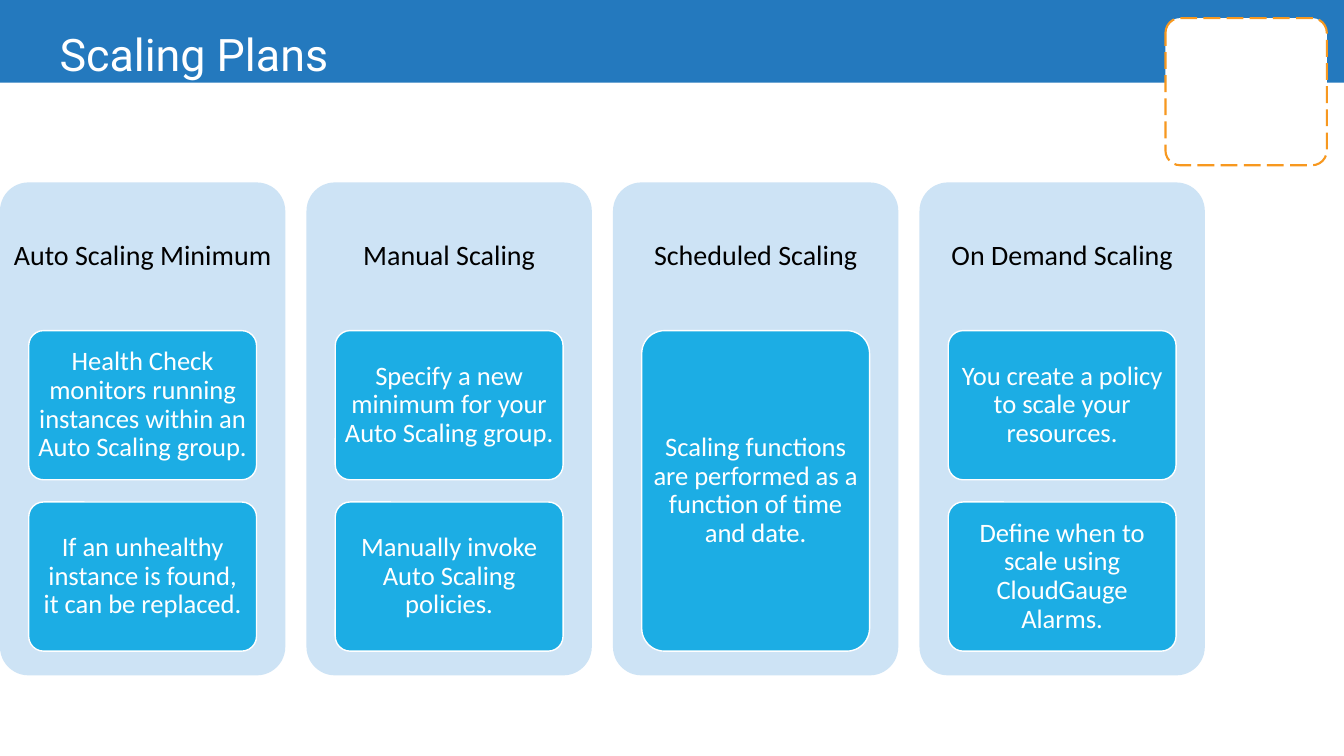
from pptx import Presentation
from pptx.dml.color import RGBColor
from pptx.enum.dml import MSO_LINE
from pptx.enum.shapes import MSO_SHAPE as Preset
from pptx.enum.text import MSO_ANCHOR as Anchor, MSO_AUTO_SIZE as AutoSize, PP_ALIGN as Align
from pptx.util import Inches, Pt

# Content
TITLE = "Scaling Plans"
PLANS = [
    ("Auto Scaling Minimum", [
        "Health Check monitors running instances within an Auto Scaling group.",
        "If an unhealthy instance is found, it can be replaced."]),
    ("Manual Scaling", [
        "Specify a new minimum for your Auto Scaling group.",
        "Manually invoke Auto Scaling policies."]),
    ("Scheduled Scaling", [
        "Scaling functions are performed as a function of time and date."]),
    ("On Demand Scaling", [
        "You create a policy to scale your resources.",
        "Define when to scale using CloudGauge Alarms."]),
]

# Colours
BAND = RGBColor(0x24, 0x79, 0xBE)
PANEL = RGBColor(0xCD, 0xE3, 0xF5)
CARD = RGBColor(0x1C, 0xAD, 0xE4)
ORANGE = RGBColor(0xF7, 0x98, 0x1F)
WHITE = RGBColor(0xFF, 0xFF, 0xFF)
BLACK = RGBColor(0, 0, 0)

# Measures in inches
PANEL_TOP, PANEL_WIDTH, PANEL_HEIGHT = 1.81, 2.83, 4.89
PANEL_STEP = 3.04
HEADING_HEIGHT = 1.47
CARD_TOP, CARD_WIDTH = 3.28, 2.26
CARDS_HEIGHT, CARD_GAP = 3.18, 0.22

deck = Presentation()
deck.slide_width, deck.slide_height = Inches(13.33), Inches(7.5)
page = deck.slides.add_slide(deck.slide_layouts[5])


def add_block(preset, left, top, width, height, fill, line=None, weight=1):
    block = page.shapes.add_shape(
        preset, Inches(left), Inches(top), Inches(width), Inches(height))
    block.shadow.inherit = False
    block.fill.solid()
    block.fill.fore_color.rgb = fill
    if line is None:
        block.line.fill.background()
    else:
        block.line.color.rgb = line
        block.line.width = Pt(weight)
    if preset == Preset.ROUNDED_RECTANGLE:
        block.adjustments[0] = 0.1
    return block


def write(box, text, size, color, font="Calibri", align=Align.CENTER, inset=(0.1, 0.05)):
    frame = box.text_frame
    frame.text = text
    frame.word_wrap = True
    frame.auto_size = AutoSize.NONE
    frame.vertical_anchor = Anchor.MIDDLE
    frame.margin_left = frame.margin_right = Inches(inset[0])
    frame.margin_top = frame.margin_bottom = Inches(inset[1])
    para = frame.paragraphs[0]
    para.alignment = align
    para.line_spacing = 0.9
    para.font.name = font
    para.font.size = Pt(size)
    para.font.color.rgb = color


# Title on its band, with the band sent to the back
band = add_block(Preset.RECTANGLE, 0, 0, 13.33, 0.82, BAND)
page.shapes._spTree.insert(2, band._element)
title = page.shapes.title
title.left, title.top = Inches(0.49), Inches(0.17)
title.width, title.height = Inches(11.96), Inches(0.79)
write(title, TITLE, 32, WHITE, "Roboto", Align.LEFT)

# One panel per plan, its cards sharing the height below the heading
for column, (heading, cards) in enumerate(PLANS):
    left = column * PANEL_STEP
    add_block(Preset.ROUNDED_RECTANGLE, left, PANEL_TOP, PANEL_WIDTH, PANEL_HEIGHT, PANEL)
    label = page.shapes.add_textbox(
        Inches(left), Inches(PANEL_TOP), Inches(PANEL_WIDTH), Inches(HEADING_HEIGHT))
    write(label, heading, 20, BLACK, inset=(0.08, 0.08))

    card_left = left + (PANEL_WIDTH - CARD_WIDTH) / 2
    card_height = (CARDS_HEIGHT - CARD_GAP * (len(cards) - 1)) / len(cards)
    for row, text in enumerate(cards):
        card_top = CARD_TOP + row * (card_height + CARD_GAP)
        card = add_block(Preset.ROUNDED_RECTANGLE, card_left, card_top,
                         CARD_WIDTH, card_height, CARD, WHITE)
        write(card, text, 19, WHITE, inset=(0.05, 0.04))

# Dashed frame in the corner
corner = add_block(Preset.ROUNDED_RECTANGLE, 11.56, 0.18, 1.6, 1.46, WHITE, ORANGE, 1.5)
corner.line.dash_style = MSO_LINE.LONG_DASH

deck.save("out.pptx")
